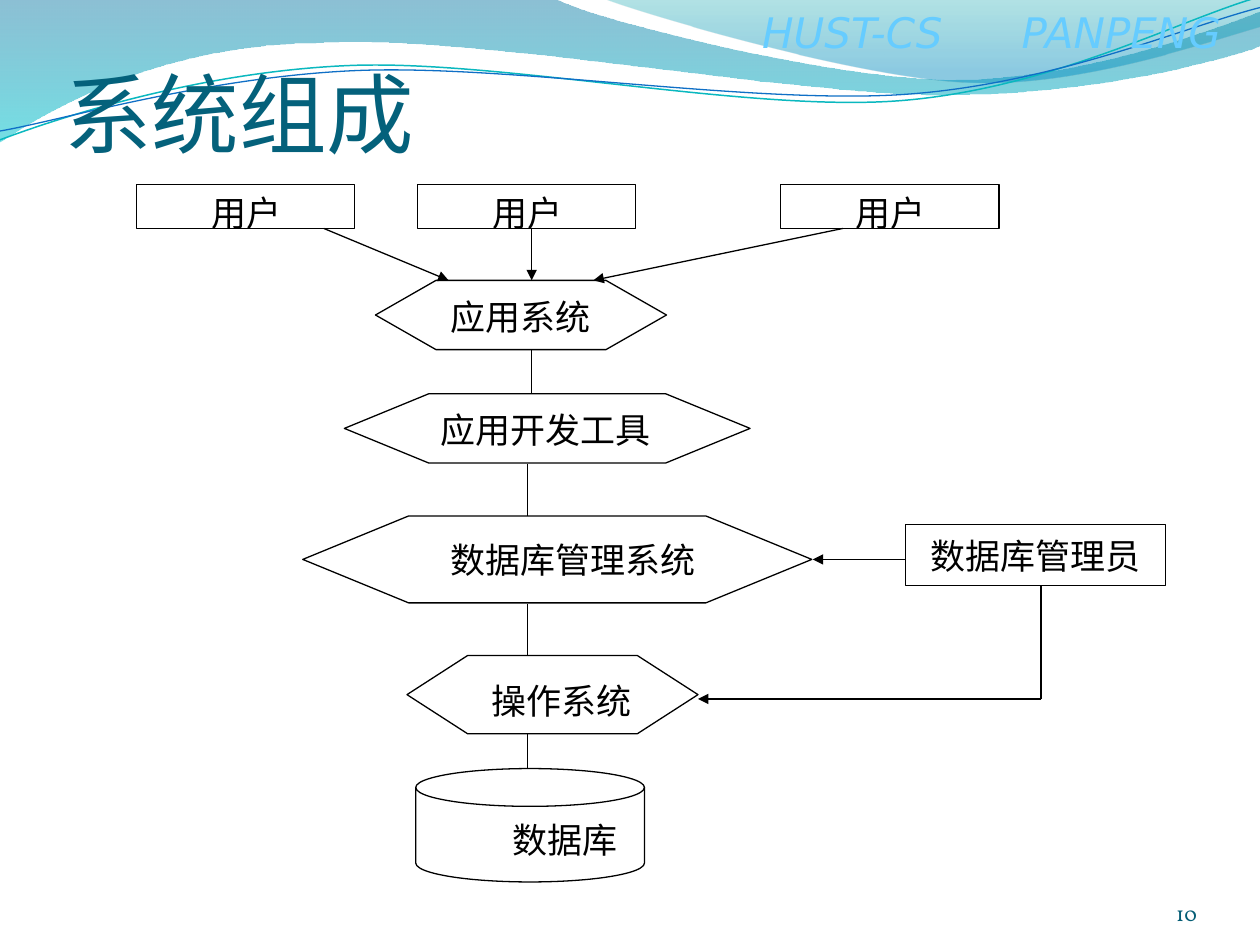
import math

import pptx
import pptx.dml.color
import pptx.enum.shapes
import pptx.enum.text
import pptx.oxml.ns
import pptx.util
from lxml import etree

RGB = pptx.dml.color.RGBColor
SHAPE = pptx.enum.shapes.MSO_SHAPE
ANCHOR = pptx.enum.text.MSO_ANCHOR
ALIGN = pptx.enum.text.PP_ALIGN
qn = pptx.oxml.ns.qn

BLACK = RGB(0, 0, 0)
WHITE = RGB(255, 255, 255)
TITLE_TEAL = RGB(0x04, 0x61, 0x7B)
NUMBER_TEAL = RGB(0x04, 0x5D, 0x75)
HEADER_BLUE = RGB(0x66, 0xCC, 0xFF)
WAVE_TEAL = RGB(0x0A, 0xB8, 0xBF)
WAVE_BLUE = RGB(0x0F, 0x6F, 0xC6)

# The slide is a grid of 100 columns by 75 rows of square cells.
COLUMNS, ROWS = 100, 75
HEXAGON_CORNER = 0.208  # share of the hexagon's width
WAVE_TILT = 2.7  # degrees
USER_LEFTS = (10.84, 33.12, 61.97)

# Hexagon box, then label left, top, width, then the text
LAYERS = [
    ((29.8, 22.25, 23.1, 5.5), (34.75, 23, 16.5), "应用系统"),
    ((27.33, 31.25, 32.2, 5.5), (33.95, 31.95, 21.5), "应用开发工具"),
    ((24.03, 40.95, 40.4, 6.9), (34.75, 42.25, 21.5), "数据库管理系统"),
    ((32.3, 52.03, 23.1, 6.2), (38.05, 53.4, 15.7), "操作系统"),
]

# Outlines: a start, then segments of one point (straight) or three (cubic curve)
LEFT_BAND = [
    ((0, -0.1),), ((44, -0.1),),
    ((47.6, 1.7), (66.4, 6.3), (75.8, 6.3)),
    ((85.3, 6.3), (95.8, 2.6), (100, 0.9)),
    ((100.1, 3.6),),
    ((98.3, 4.4), (87, 7.6), (74.6, 7.5)),
    ((62.2, 7.5), (38.2, 2.8), (25.7, 3.4)),
    ((12.9, 3.5), (4.6, 8.3), (-0.1, 11.3)),
]
RIGHT_BAND = [
    ((47.9, -0.1),),
    ((50.9, 1.1), (68.2, 6.2), (76.9, 6.5)),
    ((85.6, 6.9), (96.1, 3.2), (100, 2.1)),
    ((100, 0),),
]
TEAL_WAVE = [
    ((0, 11.1),),
    ((4.8, 9.3), (15.8, 5.7), (27.7, 5.2)),
    ((39.5, 4.7), (59.3, 8.9), (71.3, 8)),
    ((83.3, 7.1), (93.8, 1.5), (99.8, -0.2)),
]
BLUE_WAVE = [
    ((0, 10.4),),
    ((4.7, 9.6), (16.4, 6.1), (28.3, 5.6)),
    ((40.3, 5.1), (59.7, 8.3), (71.7, 7.5)),
    ((83.6, 6.7), (94.1, 2.1), (100, 0.6)),
]


def cells(*counts):
    return [pptx.util.Inches(count / 10) for count in counts]


def turn(point, centre, degrees):
    angle = math.radians(degrees)
    x, y = point[0] - centre[0], point[1] - centre[1]
    return (centre[0] + x * math.cos(angle) - y * math.sin(angle),
            centre[1] + x * math.sin(angle) + y * math.cos(angle))


def add_outline(slide, segments, close):
    corners = [cells(*point) for segment in segments for point in segment]
    builder = slide.shapes.build_freeform(*corners[0], scale=1.0)
    builder.add_line_segments(corners[1:], close=close)
    outline = builder.convert_to_shape()
    outline.shadow.inherit = False
    steps = iter(list(outline.element.spPr.iter(qn("a:lnTo"))))
    for segment in segments[1:]:
        group = [next(steps) for _ in segment]
        if len(group) == 3:
            curve = etree.Element(qn("a:cubicBezTo"))
            group[0].addprevious(curve)
            for step in group:
                curve.append(step[0])
                step.getparent().remove(step)
    return outline


def add_band(slide, segments, *stops):
    """Closed area with a see-through downward gradient; stops are (position, colour, alpha %)."""
    band = add_outline(slide, segments, True)
    band.line.fill.background()
    band.fill.gradient()
    band.fill.gradient_angle = 270
    for stop, (position, colour, _) in zip(band.fill.gradient_stops, stops):
        stop.position = position
        stop.color.rgb = colour
    for colour_xml, (_, _, alpha) in zip(band.element.spPr.iter(qn("a:srgbClr")), stops):
        etree.SubElement(colour_xml, qn("a:alpha")).set("val", str(alpha * 1000))


def add_wave(slide, segments, centre, colour, width):
    level = [[turn(point, centre, WAVE_TILT) for point in segment] for segment in segments]
    wave = add_outline(slide, level, False)
    wave.rotation = 360 - WAVE_TILT
    wave.fill.background()
    wave.line.color.rgb = colour
    wave.line.width = pptx.util.Pt(width)


def write(shape, text, font, size, colour, align=ALIGN.LEFT, anchor=ANCHOR.TOP,
          insets=(0.1, 0.05, 0.1, 0.05), tab=None):
    frame = shape.text_frame
    frame.text = text
    frame.word_wrap = True
    frame.vertical_anchor = anchor
    (frame.margin_left, frame.margin_top,
     frame.margin_right, frame.margin_bottom) = map(pptx.util.Inches, insets)
    paragraph = frame.paragraphs[0]
    paragraph.alignment = align
    if tab:
        tabs = etree.SubElement(paragraph._p.get_or_add_pPr(), qn("a:tabLst"))
        etree.SubElement(tabs, qn("a:tab"), pos=str(cells(tab)[0]), algn="l")
    run_font = paragraph.runs[0].font
    run_font.name = font
    run_font.size = pptx.util.Pt(size)
    run_font.color.rgb = colour
    return run_font


def add_node(slide, kind, box):
    node = slide.shapes.add_shape(kind, *cells(*box))
    node.shadow.inherit = False
    node.fill.solid()
    node.fill.fore_color.rgb = WHITE
    node.line.color.rgb = BLACK
    node.line.width = pptx.util.Pt(0.75)
    if kind == SHAPE.HEXAGON:
        node.adjustments[0] = HEXAGON_CORNER * box[2] / box[3]
    return node


def add_label(slide, left, top, width, text):
    label = slide.shapes.add_textbox(*cells(left, top, width, 3.6))
    write(label, text, "Cabin", 20, BLACK)


def add_link(slide, start, end, arrow=False):
    link = slide.shapes.add_connector(
        pptx.enum.shapes.MSO_CONNECTOR.STRAIGHT, *cells(*start, *end))
    link.line.color.rgb = BLACK
    link.line.width = pptx.util.Pt(0.75)
    if arrow:
        etree.SubElement(link.line._get_or_add_ln(), qn("a:tailEnd"), type="triangle")
    etree.SubElement(link.element.spPr, qn("a:effectLst"))


def add_background(slide):
    add_band(slide, LEFT_BAND,
             (0, RGB(0x00, 0x74, 0xA1), 45), (1, RGB(0x00, 0xC6, 0xCF), 55))
    add_band(slide, RIGHT_BAND,
             (0, RGB(0x00, 0xA1, 0xA9), 30), (0.8, RGB(0x00, 0x8B, 0xBF), 45))
    add_wave(slide, TEAL_WAVE, (49.9, 5.75), WAVE_TEAL, 0.85)
    add_wave(slide, BLUE_WAVE, (49.95, 5.9), WAVE_BLUE, 0.75)


def add_texts(slide):
    header = slide.shapes.add_textbox(*cells(59.5, 0, 40.5, 5.1))
    write(header, "HUST-CS\tPANPENG", "DejaVu Sans", 24, HEADER_BLUE,
          tab=20.6).italic = True
    title = slide.shapes.title
    title.left, title.top, title.width, title.height = cells(5.1, 4.4, 90, 8.7)
    write(title, "系统组成", "Calibri", 50, TITLE_TEAL, anchor=ANCHOR.BOTTOM,
          insets=(0, 0.05, 0, 0))
    title.element.getparent().append(title.element)  # in front of the waves
    number = slide.shapes.add_textbox(*cells(86.7, 69.5, 8.3, 4))
    write(number, "10", "Vollkorn", 12, NUMBER_TEAL, ALIGN.RIGHT, ANCHOR.BOTTOM,
          (0, 0, 0, 0))


def add_diagram(slide):
    add_node(slide, SHAPE.FLOWCHART_MAGNETIC_DISK, (33, 61, 18.15, 9))
    add_label(slide, 39.7, 64.5, 10.7, "数据库")
    for left in USER_LEFTS:
        add_node(slide, SHAPE.RECTANGLE, (left, 14.64, 17.33, 3.48))
        add_label(slide, left + 4.95, 14.68, 13.2, "用户")
    for box, label, text in LAYERS:
        add_node(slide, SHAPE.HEXAGON, box)
        add_label(slide, *label, text)
    administrator = add_node(slide, SHAPE.RECTANGLE, (71.87, 41.63, 20.63, 4.84))
    write(administrator, "数据库管理员", "Times New Roman", 20, BLACK,
          ALIGN.CENTER, ANCHOR.MIDDLE)
    administrator.text_frame.word_wrap = False

    for user_x, system_x in ((25.7, 35.6), (42.2, 42.2), (66.9, 47.1)):
        add_link(slide, (user_x, 18.13), (system_x, 22.25), arrow=True)
    for x, top, bottom in ((42.2, 27.8, 31.25), (41.87, 36.8, 40.95),
                           (41.87, 47.9, 52), (41.87, 58.2, 61)):
        add_link(slide, (x, top), (x, bottom))
    add_link(slide, (71.9, 44.4), (64.5, 44.4), arrow=True)
    add_link(slide, (82.63, 46.5), (82.63, 55.47))
    add_link(slide, (82.63, 55.47), (55.4, 55.47), arrow=True)


def main():
    deck = pptx.Presentation()
    deck.slide_width, deck.slide_height = cells(COLUMNS, ROWS)
    slide = deck.slides.add_slide(deck.slide_layouts.get_by_name("Title Only"))
    add_background(slide)
    add_texts(slide)
    add_diagram(slide)
    deck.save("out.pptx")


if __name__ == "__main__":
    main()
